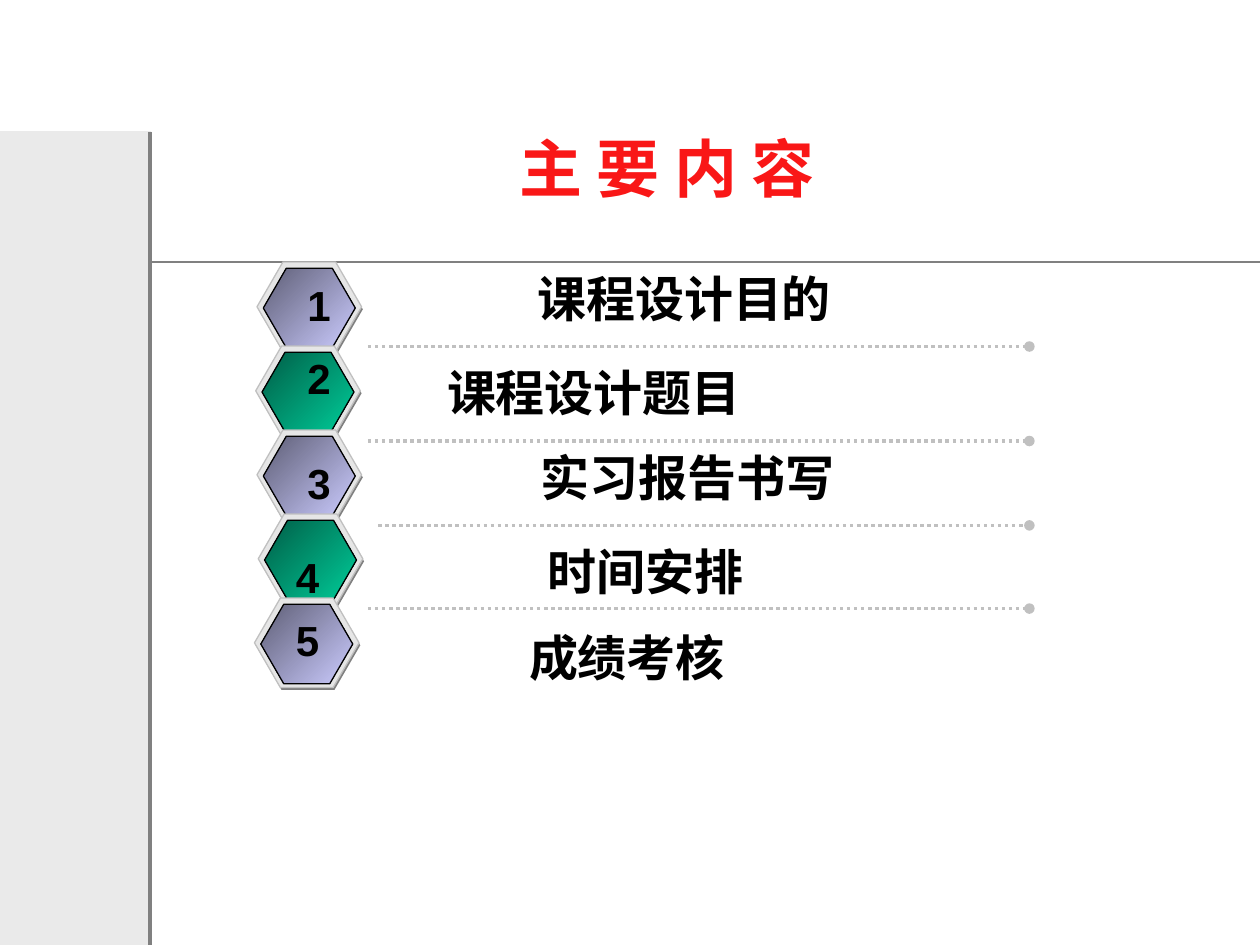
"""Build the agenda slide with five numbered hexagons and dotted dividers."""
from lxml.etree import SubElement
from pptx import Presentation
from pptx.dml.color import RGBColor
from pptx.enum.dml import MSO_LINE
from pptx.enum.shapes import MSO_CONNECTOR, MSO_SHAPE
from pptx.enum.text import MSO_ANCHOR, PP_ALIGN
from pptx.oxml.ns import qn
from pptx.util import Inches, Pt

CHINESE = "Noto Sans CJK SC"
PURPLE = ("5E5E76", "CCCCFF")
GREEN = ("005E47", "00CC99")


def color(value):
    """Turn a hex string into a colour."""
    return RGBColor.from_string(value)


def write(frame, text, size, font, ink, align, indent=0):
    """Write one bold paragraph into a text frame."""
    para = frame.paragraphs[0]
    para.alignment = align
    para._p.get_or_add_pPr().set("marL", str(Inches(indent)))
    span = para.add_run()
    span.text = text
    for name, value in {"size": Pt(size), "name": font, "bold": True}.items():
        setattr(span.font, name, value)
    span.font.color.rgb = color(ink)
    SubElement(span._r.get_or_add_rPr(), qn("a:ea")).set("typeface", font)


deck = Presentation()
deck.slide_width, deck.slide_height = Inches(10), Inches(7.5)
page = deck.slides.add_slide(deck.slide_layouts[5])

sidebar = page.shapes.add_shape(
    MSO_SHAPE.RECTANGLE, Inches(0), Inches(1.04), Inches(1.2), Inches(6.46))
sidebar.shadow.inherit = False
sidebar.fill.solid()
sidebar.fill.fore_color.rgb = color("EAEAEA")
sidebar.line.fill.background()

title = page.shapes.title
placement = {"left": 1.33, "top": 0.83, "width": 7.93, "height": 1}
for name, value in placement.items():
    setattr(title, name, Inches(value))
title.text_frame.vertical_anchor = MSO_ANCHOR.MIDDLE
write(title.text_frame, "主 要 内 容", 36, CHINESE, "F91717", PP_ALIGN.CENTER)

rules = [
    (1.19, 1.05, 1.19, 7.5, "808080", 2.25, False),
    (1.19, 2.08, 10, 2.08, "808080", 1.5, False),
    (2.92, 2.75, 8.17, 2.75, "C0C0C0", 2, True),
    (2.92, 3.5, 8.17, 3.5, "C0C0C0", 2, True),
    (3, 4.17, 8.17, 4.17, "C0C0C0", 2, True),
    (2.92, 4.83, 8.17, 4.83, "C0C0C0", 2, True),
]
for x1, y1, x2, y2, ink, weight, dotted in rules:
    rule = page.shapes.add_connector(
        MSO_CONNECTOR.STRAIGHT, Inches(x1), Inches(y1), Inches(x2), Inches(y2))
    rule.line.color.rgb = color(ink)
    rule.line.width = Pt(weight)
    if dotted:
        rule.line.dash_style = MSO_LINE.ROUND_DOT
        SubElement(rule.line._get_or_add_ln(), qn("a:tailEnd")).set("type", "oval")
    SubElement(rule._element.spPr, qn("a:effectLst"))

hexagon_lefts = [2.04, 2.03, 2.04, 2.05, 2.02]
for index, left in enumerate(hexagon_lefts):
    top = 2.08 + index * 2 / 3
    badge = page.shapes.add_group_shape()
    layers = [
        (0.01, 0.02, 0.83, 0.71, ("808080",), None),
        (0, 0, 0.83, 0.71, ("E6E6E6",), "C0C0C0"),
        (0.05, 0.05, 0.73, 0.63, GREEN if index % 2 else PURPLE, "000000"),
    ]
    for dx, dy, width, height, fills, outline in layers:
        hexagon = badge.shapes.add_shape(
            MSO_SHAPE.HEXAGON, Inches(left + dx), Inches(top + dy),
            Inches(width), Inches(height))
        hexagon.adjustments[0] = 0.289
        hexagon.shadow.inherit = False
        if len(fills) == 1:
            hexagon.fill.solid()
            hexagon.fill.fore_color.rgb = color(fills[0])
        else:
            hexagon.fill.gradient()
            hexagon.fill.gradient_angle = 315
            for stop, shade, position in zip(hexagon.fill.gradient_stops, fills, (0, 1)):
                stop.color.rgb = color(shade)
                stop.position = position
        if outline:
            hexagon.line.color.rgb = color(outline)
            hexagon.line.width = Pt(0.75)
        else:
            hexagon.line.fill.background()

CENTER, LEFT = PP_ALIGN.CENTER, PP_ALIGN.LEFT
labels = [
    ("1", 2.34, 2.17, 0.38, CENTER, 0),
    ("2", 2.34, 2.75, 0.38, CENTER, 0),
    ("3", 2.34, 3.58, 0.38, CENTER, 0),
    ("4", 2.25, 4.33, 0.38, CENTER, 0),
    ("5", 2.25, 4.83, 0.38, CENTER, 0),
    ("课程设计目的", 3.33, 2.08, 4.2, CENTER, 0),
    ("课程设计题目", 2.83, 2.83, 5.5, LEFT, 0.62),
    ("实习报告书写", 4.19, 3.5, 2.53, CENTER, 0),
    ("时间安排", 2.83, 4.25, 4.58, CENTER, 0),
    ("成绩考核", 3.75, 4.93, 4.08, LEFT, 0.35),
]
for text, left, top, width, align, indent in labels:
    is_number = text.isdigit()
    box = page.shapes.add_textbox(
        Inches(left), Inches(top), Inches(width), Inches(0.5 if is_number else 0.57))
    box.text_frame.word_wrap = not is_number
    size, font = (24, "Arial") if is_number else (28, CHINESE)
    write(box.text_frame, text, size, font, "000000", align, indent)

deck.save("out.pptx")
